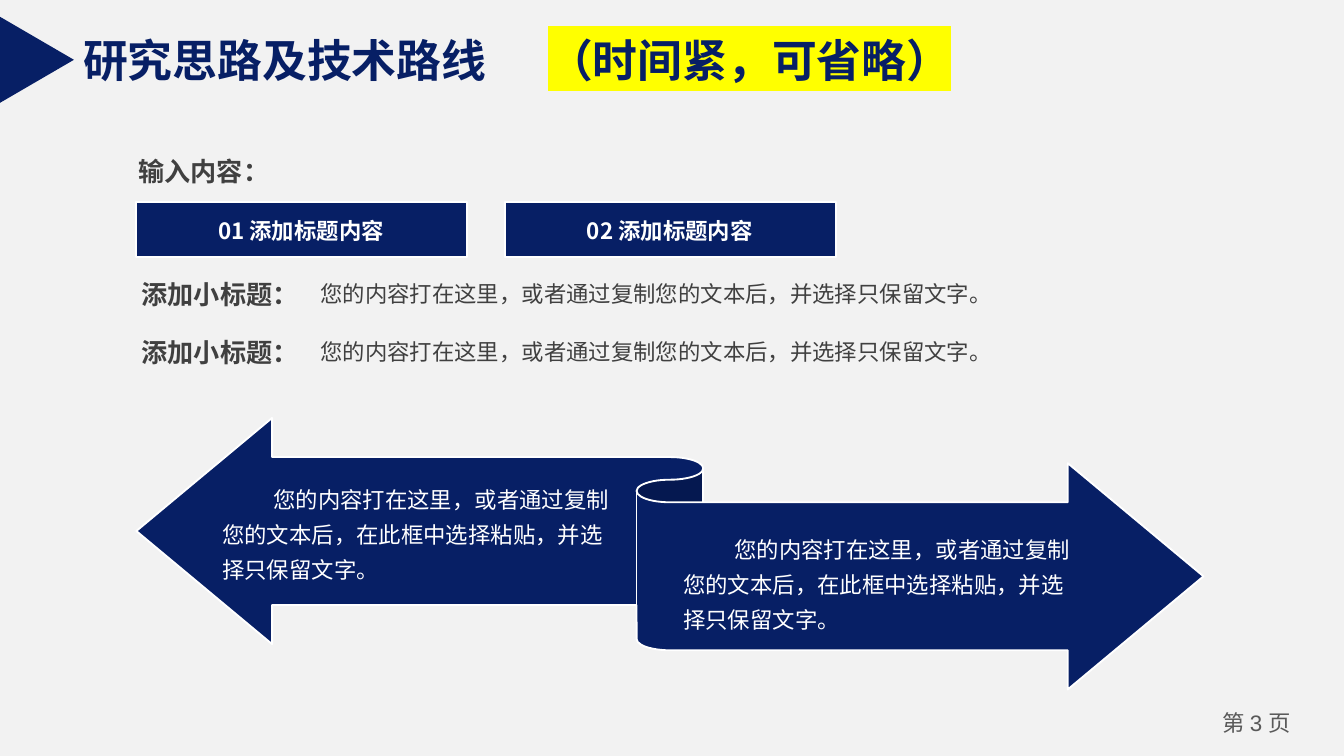
"""Build the research approach slide with its title, topic boxes and ribbon."""
from dataclasses import dataclass
from typing import Any, NamedTuple

from lxml.etree import SubElement
from pptx import Presentation
from pptx.dml.color import RGBColor
from pptx.enum.shapes import MSO_SHAPE
from pptx.enum.text import MSO_ANCHOR, PP_ALIGN
from pptx.oxml.ns import qn
from pptx.util import Inches, Pt

GRID = Inches(0.1)
COLUMNS, ROWS = 100, 56.25


@dataclass(frozen=True)
class Theme:
    """Colours, fonts and type sizes of the slide."""

    navy: str = "071F65"
    paper: str = "F2F2F2"
    white: str = "FFFFFF"
    dark: str = "404040"
    grey: str = "595959"
    marker: str = "FFFF00"
    latin: str = "Arial"
    chinese: str = "Noto Sans CJK SC"
    title: int = 24
    heading: int = 14
    body: int = 12


THEME = Theme()


class Area(NamedTuple):
    """A rectangle in grid columns and rows."""

    column: float
    row: float
    columns: float
    rows: float

    def lengths(self) -> list[int]:
        """Return left, top, width and height."""
        return [round(GRID * value) for value in self]


class Span(NamedTuple):
    """A stretch of text in one font, with an optional marker colour."""

    text: str
    font: str = THEME.chinese
    marker: str = ""


@dataclass(frozen=True)
class Style:
    """The look of a text box."""

    size: int
    color: str
    bold: bool = False
    align: PP_ALIGN = PP_ALIGN.LEFT
    anchor: MSO_ANCHOR = MSO_ANCHOR.TOP
    wrap: bool = True
    margins: tuple[float, float] = (0.1, 0.05)
    spacing: float = 1.0
    indent: float = 0
    tab: float = 0


HEADING = Style(THEME.heading, THEME.dark, bold=True, anchor=MSO_ANCHOR.MIDDLE, wrap=False)
INTRO = Style(THEME.heading, THEME.dark, bold=True, anchor=MSO_ANCHOR.MIDDLE, wrap=False,
              margins=(0.07, 0.04))
BODY = Style(THEME.body, THEME.dark)
TOPIC = Style(THEME.body, THEME.white, bold=True, align=PP_ALIGN.CENTER)
RIBBON = Style(THEME.body, THEME.white, spacing=1.3, indent=0.38)
TITLE = Style(THEME.title, THEME.navy, bold=True, anchor=MSO_ANCHOR.MIDDLE, tab=3.46)
FOOTER = Style(THEME.body, THEME.grey, align=PP_ALIGN.CENTER, margins=(0.07, 0.04))

TOPICS = ("01 添加标题内容", "02 添加标题内容")
POINT_LABEL = "添加小标题："
POINT_TEXT = "您的内容打在这里，或者通过复制您的文本后，并选择只保留文字。"
RIBBON_TEXT = "您的内容打在这里，或者通过复制您的文本后，在此框中选择粘贴，并选择只保留文字。"


def apply_format(target: Any, values: dict[str, Any]) -> None:
    """Set each named attribute on the target."""
    for name, value in values.items():
        setattr(target, name, value)


def add_span(para: Any, span: Span, style: Style) -> None:
    """Add one formatted stretch of text to a paragraph."""
    run = para.add_run()
    run.text = span.text
    apply_format(run.font, {"size": Pt(style.size), "bold": style.bold, "name": span.font})
    run.font.color.rgb = RGBColor.from_string(style.color)
    properties = run.font._element
    SubElement(properties, qn("a:ea"), typeface=THEME.chinese)
    if span.marker:
        highlight = SubElement(properties, qn("a:highlight"))
        SubElement(highlight, qn("a:srgbClr"), val=span.marker)
        properties.find(qn("a:latin")).addprevious(highlight)


def add_text(page: Any, area: Area, style: Style, *spans: Span) -> None:
    """Add a text box holding one paragraph."""
    frame = page.shapes.add_textbox(*area.lengths()).text_frame
    side, edge = (Inches(margin) for margin in style.margins)
    apply_format(frame, {
        "word_wrap": style.wrap, "vertical_anchor": style.anchor,
        "margin_left": side, "margin_right": side,
        "margin_top": edge, "margin_bottom": edge,
    })
    para = frame.paragraphs[0]
    apply_format(para, {"alignment": style.align, "line_spacing": style.spacing})
    properties = para._p.get_or_add_pPr()
    if style.indent:
        properties.set("indent", str(Inches(style.indent)))
    if style.tab:
        tabs = SubElement(properties, qn("a:tabLst"))
        SubElement(tabs, qn("a:tab"), pos=str(Inches(style.tab)), algn="l")
    for span in spans:
        add_span(para, span, style)


def add_navy_shape(page: Any, kind: MSO_SHAPE, area: Area, outlined: bool = True) -> Any:
    """Add a navy preset shape, with a white outline if asked."""
    shape = page.shapes.add_shape(kind, *area.lengths())
    shape.shadow.inherit = False
    shape.fill.solid()
    shape.fill.fore_color.rgb = RGBColor.from_string(THEME.navy)
    if outlined:
        shape.line.color.rgb = RGBColor.from_string(THEME.white)
        shape.line.width = Pt(1)
    else:
        shape.line.fill.background()
    return shape


def add_topics(page: Any) -> None:
    """Add the row of numbered topic boxes."""
    for index, topic in enumerate(TOPICS):
        column = 10.14 + 27.45 * index
        add_navy_shape(page, MSO_SHAPE.RECTANGLE, Area(column, 15.05, 24.6, 4.1))
        add_text(page, Area(column, 15.7, 24.5, 3), TOPIC, Span(topic))


def add_points(page: Any) -> None:
    """Add the labelled points under the topics."""
    for index in range(2):
        row = 20.2 + 4.3 * index
        add_text(page, Area(9.55, row, 13.8, 3.4), HEADING, Span(POINT_LABEL))
        add_text(page, Area(22.85, row + 0.15, 73.7, 3), BODY, Span(POINT_TEXT))


def add_ribbon(page: Any) -> None:
    """Add the two-headed ribbon and the text on each half."""
    ribbon = add_navy_shape(page, MSO_SHAPE.LEFT_RIGHT_RIBBON, Area(10.15, 31.1, 79.4, 20.2))
    ribbon.adjustments[0] = 0.545
    for column, row in ((15.55, 35.1), (49.85, 38.8)):
        add_text(page, Area(column, row, 31.8, 8.9), RIBBON, Span(RIBBON_TEXT))


def add_title(page: Any) -> None:
    """Add the title, its marked remark and the pointer beside it."""
    add_text(page, Area(5.2, 1.95, 67.5, 5), TITLE,
             Span("研究思路及技术路线\t", THEME.latin),
             Span("（时间紧，可省略）", marker=THEME.marker))
    pointer = add_navy_shape(page, MSO_SHAPE.ISOSCELES_TRIANGLE,
                             Area(-0.45, 1.7, 6.4, 5.5), outlined=False)
    pointer.rotation = 90


def main() -> None:
    """Build and save the deck."""
    deck = Presentation()
    apply_format(deck, {"slide_width": round(GRID * COLUMNS), "slide_height": round(GRID * ROWS)})
    page = deck.slides.add_slide(deck.slide_layouts[6])
    page.background.fill.solid()
    page.background.fill.fore_color.rgb = RGBColor.from_string(THEME.paper)
    add_text(page, Area(89, 52.4, 9, 3), FOOTER,
             Span("第 "), Span("3 ", THEME.latin), Span("页"))
    add_text(page, Area(9.6, 11.2, 11.3, 3.1), INTRO, Span("输入内容："))
    add_topics(page)
    add_points(page)
    add_ribbon(page)
    add_title(page)
    deck.save("out.pptx")


if __name__ == "__main__":
    main()
